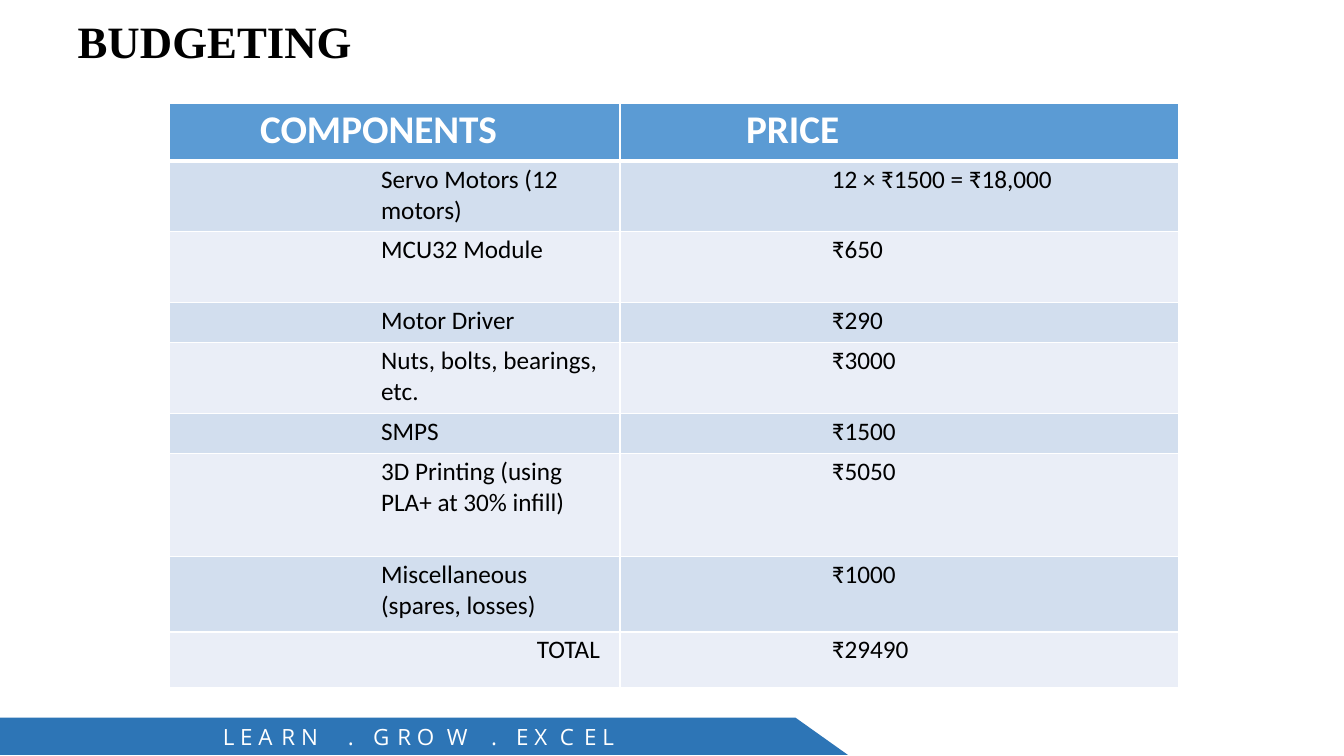
from lxml import etree
from pptx import Presentation
from pptx.dml.color import RGBColor
from pptx.enum.text import MSO_ANCHOR, MSO_AUTO_SIZE, PP_ALIGN
from pptx.oxml.ns import qn
from pptx.util import Inches, Pt

LEFT, RIGHT = PP_ALIGN.LEFT, PP_ALIGN.RIGHT
TOP = MSO_ANCHOR.TOP
NO_AUTOFIT = MSO_AUTO_SIZE.NONE

COLORS = {"white": "FFFFFF", "black": "000000", "header": "5B9BD4",
          "band_dark": "D2DEEE", "band_light": "EAEEF7", "ribbon": "2D75B6"}

COLUMN_WIDTHS = [4.47, 5.54]
ROW_HEIGHTS = [0.57, 0.7, 0.7, 0.4, 0.7, 0.4, 1.02, 0.75, 0.55]
HEADINGS = [("COMPONENTS", 0.9), ("PRICE", 1.25)]
COSTS = [
    ("Servo Motors (12 motors)", "12 × ₹1500 = ₹18,000"),
    ("MCU32 Module", "₹650"),
    ("Motor Driver", "₹290"),
    ("Nuts, bolts, bearings, etc.", "₹3000"),
    ("SMPS", "₹1500"),
    ("3D Printing (using PLA+ at 30% infill)", "₹5050"),
    ("Miscellaneous (spares, losses)", "₹1000"),
    ("TOTAL", "₹29490"),
]
ITEM_INDENT = 2.1

# Motto words: left, width, spans of (text, letter spacing in points)
DOT = [(".", -1.9)]
MOTTO = [
    (2.21, 1.04, [("L E ", 0), ("A ", 1.1), ("R ", 0), ("N", 1.6)]),
    (3.45, 0.08, DOT),
    (3.7, 0.97, [("G ", 0.8), ("R ", 0), ("O ", 2.4), ("W", 2.5)]),
    (4.87, 0.08, DOT),
    (5.12, 1.01, [("E ", 0), ("X ", 2.4), ("C ", 1.6), ("E ", 0), ("L", -0.5)]),
]


def color(name):
    return RGBColor.from_string(COLORS[name])


class SlideBuilder:
    """Holds the style and the current page."""

    def __init__(self, page):
        self.page = page

    def style(self, para, font, size, color_name, bold=False, align=LEFT):
        para.alignment = align
        para.font.name = font
        para.font.size = Pt(size)
        para.font.bold = bold
        para.font.color.rgb = color(color_name)

    def frame(self, box, left, top, width, height):
        box.left, box.top = Inches(left), Inches(top)
        box.width, box.height = Inches(width), Inches(height)
        frame = box.text_frame
        frame.margin_left = frame.margin_right = 0
        frame.margin_top = frame.margin_bottom = 0
        frame.vertical_anchor = TOP
        frame.auto_size = NO_AUTOFIT
        return frame

    def title(self, text, *place):
        frame = self.frame(self.page.shapes.title, *place)
        frame.text = text
        para = frame.paragraphs[0]
        para.space_before = Pt(1.1)
        self.style(para, "Times New Roman", 32, "black", bold=True)

    def spaced_word(self, spans, left, top, width, height):
        box = self.page.shapes.add_textbox(0, 0, 0, 0)
        frame = self.frame(box, left, top, width, height)
        frame.word_wrap = False
        para = frame.paragraphs[0]
        para.line_spacing = Pt(19.1)
        self.style(para, "Open Sans", 16, "white")
        for text, spacing in spans:
            span = para.add_run()
            span.text = text
            span.font._element.set("spc", str(round(spacing * 100)))

    def polygon(self, points, fill):
        corners = [(Inches(x), Inches(y)) for x, y in points]
        outline = self.page.shapes.build_freeform(*corners[0])
        outline.add_line_segments(corners[1:], close=True)
        shape = outline.convert_to_shape()
        shape.shadow.inherit = False
        shape.fill.solid()
        shape.fill.fore_color.rgb = color(fill)
        shape.line.fill.background()

    def table(self, left, top, widths, heights):
        table = self.page.shapes.add_table(
            len(heights), len(widths), Inches(left), Inches(top),
            Inches(sum(widths)), Inches(sum(heights))).table
        for column, width in zip(table.columns, widths):
            column.width = Inches(width)
        for row, height in zip(table.rows, heights):
            row.height = Inches(height)
        return table

    def borders(self, cell, top, bottom):
        properties = cell._tc.get_or_add_tcPr()
        for side, width in (("L", 1), ("R", 1), ("T", top), ("B", bottom)):
            line = etree.SubElement(properties, qn("a:ln" + side), w=str(Pt(width)))
            fill = etree.SubElement(line, qn("a:solidFill"))
            etree.SubElement(fill, qn("a:srgbClr"), val=COLORS["white"])

    def cell(self, cell, text, fill, size, text_color, indent=0, bold=False,
             align=LEFT, inset=0.03, before=2.4, top=1, bottom=1):
        self.borders(cell, top, bottom)
        cell.fill.solid()
        cell.fill.fore_color.rgb = color(fill)
        cell.margin_left = cell.margin_bottom = 0
        cell.margin_right = Inches(0.2)
        cell.margin_top = Inches(inset)
        cell.text = text
        para = cell.text_frame.paragraphs[0]
        para.space_before = Pt(before)
        self.style(para, "Calibri", size, text_color, bold, align)
        para._p.get_or_add_pPr().set("marL", str(Inches(indent)))


def main():
    deck = Presentation()
    deck.slide_width, deck.slide_height = Inches(13.33), Inches(7.5)
    builder = SlideBuilder(deck.slides.add_slide(deck.slide_layouts[5]))

    builder.title("BUDGETING", 0.77, 0.14, 2.75, 0.56)

    # Budget table
    budget = builder.table(1.68, 1.03, COLUMN_WIDTHS, ROW_HEIGHTS)
    for column, (heading, indent) in enumerate(HEADINGS):
        builder.cell(budget.cell(0, column), heading, "header", 28, "white",
                     indent, bold=True, inset=0.02, before=1.8, bottom=3)
    for row, cost in enumerate(COSTS, start=1):
        band = "band_dark" if row % 2 else "band_light"
        for column, text in enumerate(cost):
            is_total = text == "TOTAL"
            builder.cell(budget.cell(row, column), text, band, 18, "black",
                         0 if is_total else ITEM_INDENT,
                         align=RIGHT if is_total else LEFT,
                         top=3 if row == 1 else 1)

    # Ribbon with the motto
    builder.polygon([(7.89, 7.12), (0, 7.12), (0, 7.49), (8.41, 7.49)], "ribbon")
    for left, width, spans in MOTTO:
        builder.spaced_word(spans, left, 7.17, width, 0.29)

    deck.save("out.pptx")


if __name__ == "__main__":
    main()
